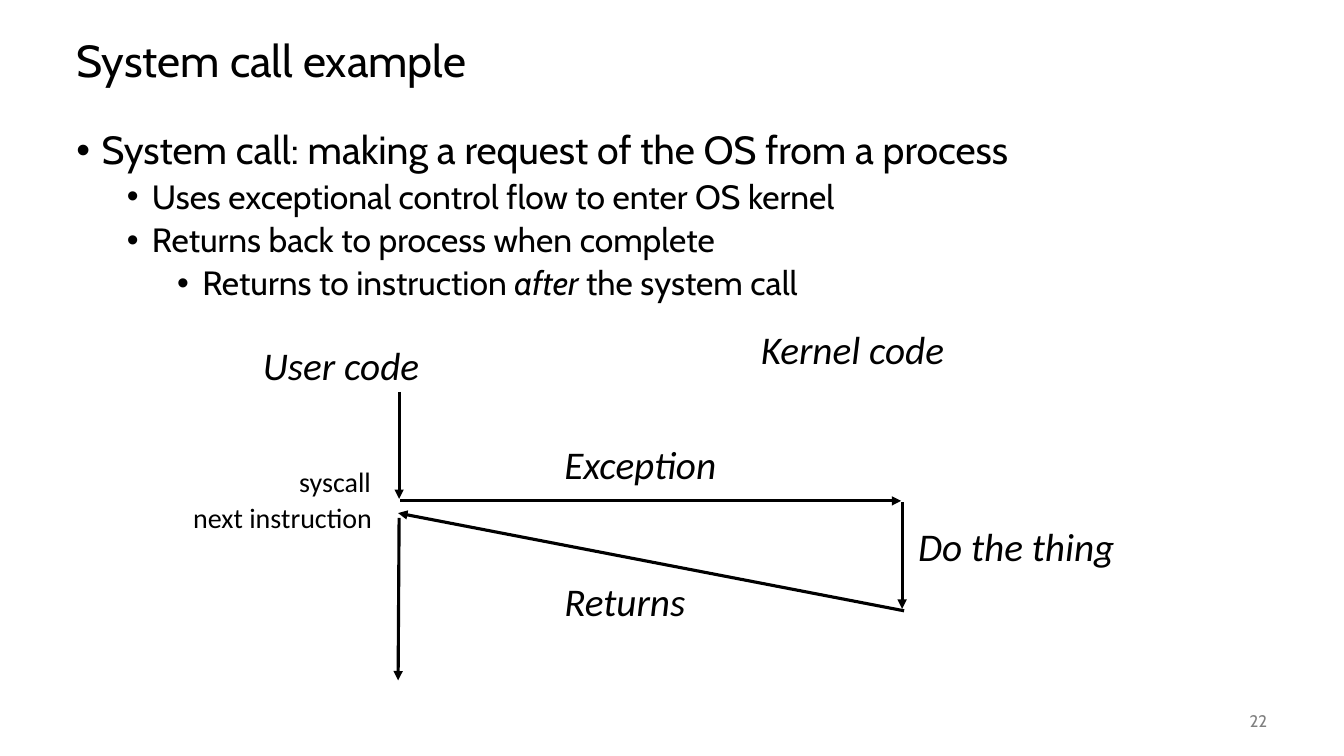
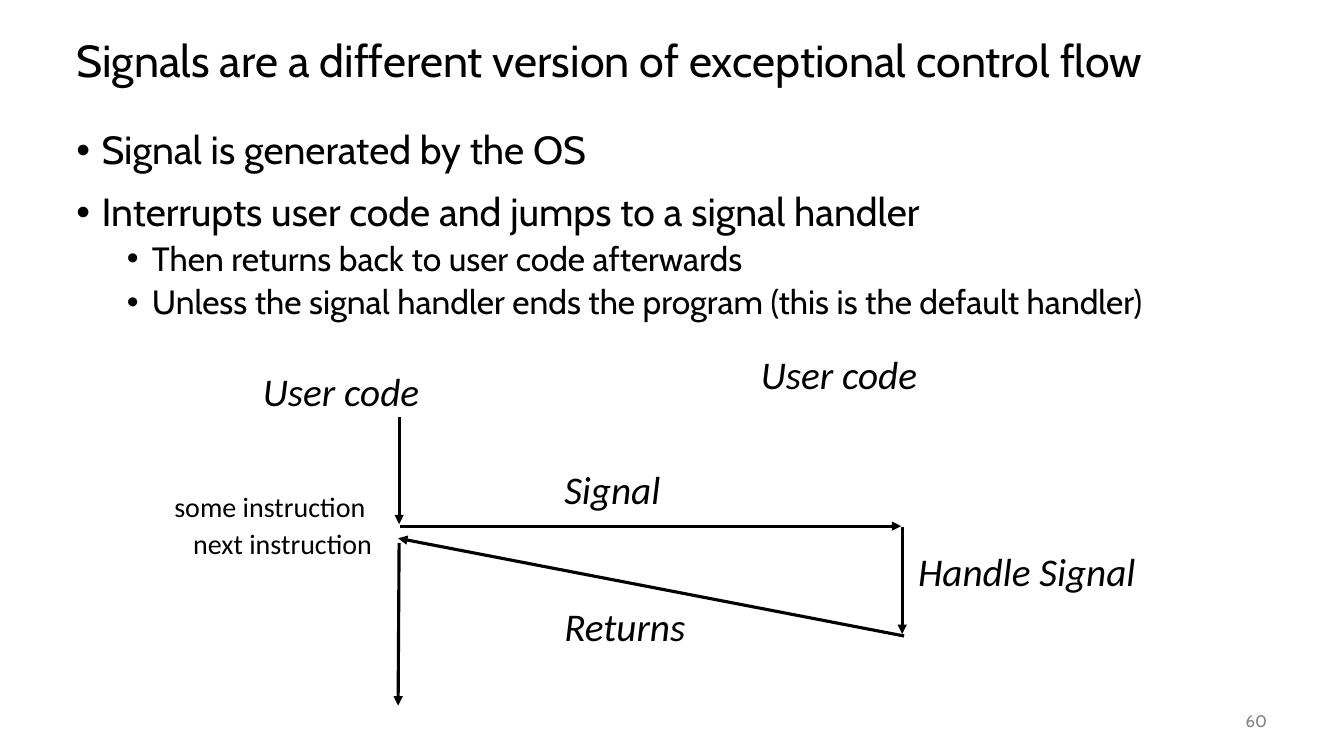
from dataclasses import dataclass

from lxml import etree
from pptx import Presentation
from pptx import util as u
from pptx.dml.color import RGBColor
from pptx.enum import shapes, text
from pptx.oxml import ns

BLACK = RGBColor(0x00, 0x00, 0x00)
GRAY = RGBColor(0x80, 0x80, 0x80)
LEFT, RIGHT = text.PP_ALIGN.LEFT, text.PP_ALIGN.RIGHT
TOP, MIDDLE = text.MSO_ANCHOR.TOP, text.MSO_ANCHOR.MIDDLE

TITLE = {"name": "Cabin", "size": u.Pt(32)}
NUMBER = {"name": "Cabin", "size": u.Pt(12)}
CAPTION = {"name": "Calibri", "size": u.Pt(28), "italic": True}
STEP = {"name": "Calibri", "size": u.Pt(20)}
BODY_SIZES = (28, 24, 24)
BODY_SPACING = (14, 5, 5)
CAPTION_HEIGHT, STEP_HEIGHT = 41, 31.7


@dataclass(frozen=True)
class Span:
    text: str
    italic: bool = False


@dataclass(frozen=True)
class Bullet:
    level: int
    spans: tuple[Span, ...]


@dataclass(frozen=True)
class Label:
    text: str
    left: float
    top: float
    width: float
    style: dict
    wrap: bool = False
    align: text.PP_ALIGN = LEFT


@dataclass(frozen=True)
class Arrow:
    x1: float
    y1: float
    x2: float
    y2: float


@dataclass(frozen=True)
class Flow:
    """The labels that vary between diagrams, and how far down the diagram sits."""
    shift: float
    labels: tuple[Label, ...]


@dataclass(frozen=True)
class Content:
    title: str
    number: int
    bullets: tuple[Bullet, ...]
    flow: Flow


ARROWS = (
    Arrow(285.1, 280, 285.1, 356.4),
    Arrow(285.8, 357.8, 643.7, 357.8),
    Arrow(644.4, 358.6, 644.4, 434.9),
    Arrow(645.8, 436.3, 284.4, 366.5),
    Arrow(285.1, 370, 284.4, 486),
)
SHARED_LABELS = (
    Label("User code", 180.7, 240.5, 127.4, CAPTION),
    Label("Returns", 396, 409, 101.5, CAPTION),
    Label("next instruction", 47.5, 354.2, 225.4, STEP, True, RIGHT),
)

CONTENTS = (
    Content(
        "System call example", 22,
        (
            Bullet(0, (Span("System call: making a request of the OS from a process"),)),
            Bullet(1, (Span("Uses exceptional control flow to enter OS kernel"),)),
            Bullet(1, (Span("Returns back to process when complete"),)),
            Bullet(2, (Span("Returns to instruction "), Span("after", True),
                       Span(" the system call"))),
        ),
        Flow(0, (
            Label("Kernel code", 536.4, 229, 146.9, CAPTION),
            Label("Exception", 396, 311, 123.8, CAPTION),
            Label("Do the thing", 648.7, 369.4, 155.5, CAPTION, True),
            Label("syscall", 206.6, 328.3, 66.2, STEP),
        )),
    ),
    Content(
        "Signals are a different version of exceptional control flow", 60,
        (
            Bullet(0, (Span("Signal is generated by the OS"),)),
            Bullet(0, (Span("Interrupts user code and jumps to a signal handler"),)),
            Bullet(1, (Span("Then returns back to user code afterwards"),)),
            Bullet(1, (Span("Unless the signal handler ends the program "
                            "(this is the default handler)"),)),
        ),
        Flow(18, (
            Label("User code", 536.4, 229, 127.4, CAPTION),
            Label("Signal", 396, 311, 83.5, CAPTION),
            Label("Handle Signal", 648.7, 369.4, 172.8, CAPTION, True),
            Label("some instruction", 117.4, 328.3, 241.9, STEP, True),
        )),
    ),
)


def add_frame(page, left: float, top: float, width: float, height: float,
              anchor=TOP, wrap: bool = True):
    box = page.shapes.add_textbox(u.Pt(left), u.Pt(top), u.Pt(width), u.Pt(height))
    frame = box.text_frame
    frame.word_wrap = wrap
    frame.vertical_anchor = anchor
    return frame


def add_span(para, words: str, style: dict, color: RGBColor = BLACK) -> None:
    span = para.add_run()
    span.text = words
    for name, value in style.items():
        setattr(span.font, name, value)
    span.font.color.rgb = color


def add_title(page, words: str) -> None:
    para = add_frame(page, 47.5, 18, 864, 54, MIDDLE).paragraphs[0]
    para.line_spacing = 0.9
    add_span(para, words, TITLE)


def add_number(page, number: int) -> None:
    para = add_frame(page, 840.2, 500.4, 72, 28.8, MIDDLE).paragraphs[0]
    para.alignment = RIGHT
    add_span(para, str(number), NUMBER, GRAY)


def add_bullets(page, bullets: tuple[Bullet, ...]) -> None:
    frame = add_frame(page, 47.5, 90, 864, 396)
    for index, bullet in enumerate(bullets):
        para = frame.add_paragraph() if index else frame.paragraphs[0]
        para.level = bullet.level
        para.line_spacing = 0.9
        para.space_before = u.Pt(BODY_SPACING[bullet.level] if index else 0)
        props = para._p.get_or_add_pPr()
        props.set("marL", str(u.Pt(18 + 36 * bullet.level)))
        props.set("indent", str(u.Pt(-18)))
        etree.SubElement(props, ns.qn("a:buFont"), typeface="Arial")
        etree.SubElement(props, ns.qn("a:buChar"), char="•")
        for span in bullet.spans:
            add_span(para, span.text, {
                "name": "Cabin",
                "size": u.Pt(BODY_SIZES[bullet.level]),
                "italic": span.italic,
            })


def add_label(page, label: Label, shift: float) -> None:
    height = CAPTION_HEIGHT if label.style is CAPTION else STEP_HEIGHT
    frame = add_frame(page, label.left, label.top + shift, label.width, height,
                      wrap=label.wrap)
    frame.auto_size = text.MSO_AUTO_SIZE.SHAPE_TO_FIT_TEXT
    para = frame.paragraphs[0]
    para.alignment = label.align
    add_span(para, label.text, label.style)


def add_arrow(page, arrow: Arrow, shift: float) -> None:
    line = page.shapes.add_connector(
        shapes.MSO_CONNECTOR.STRAIGHT,
        u.Pt(arrow.x1), u.Pt(arrow.y1 + shift),
        u.Pt(arrow.x2), u.Pt(arrow.y2 + shift))
    line.line.color.rgb = BLACK
    line.line.width = u.Pt(2.25)
    etree.SubElement(line.line._get_or_add_ln(), ns.qn("a:tailEnd"), type="triangle")
    etree.SubElement(line._element.spPr, ns.qn("a:effectLst"))


def add_flow(page, flow: Flow) -> None:
    for arrow in ARROWS:
        add_arrow(page, arrow, flow.shift)
    for label in SHARED_LABELS + flow.labels:
        add_label(page, label, flow.shift)


def main() -> None:
    deck = Presentation()
    deck.slide_width, deck.slide_height = u.Pt(960), u.Pt(540)
    for content in CONTENTS:
        page = deck.slides.add_slide(deck.slide_layouts[6])
        add_title(page, content.title)
        add_bullets(page, content.bullets)
        add_number(page, content.number)
        add_flow(page, content.flow)
    deck.save("out.pptx")


if __name__ == "__main__":
    main()
